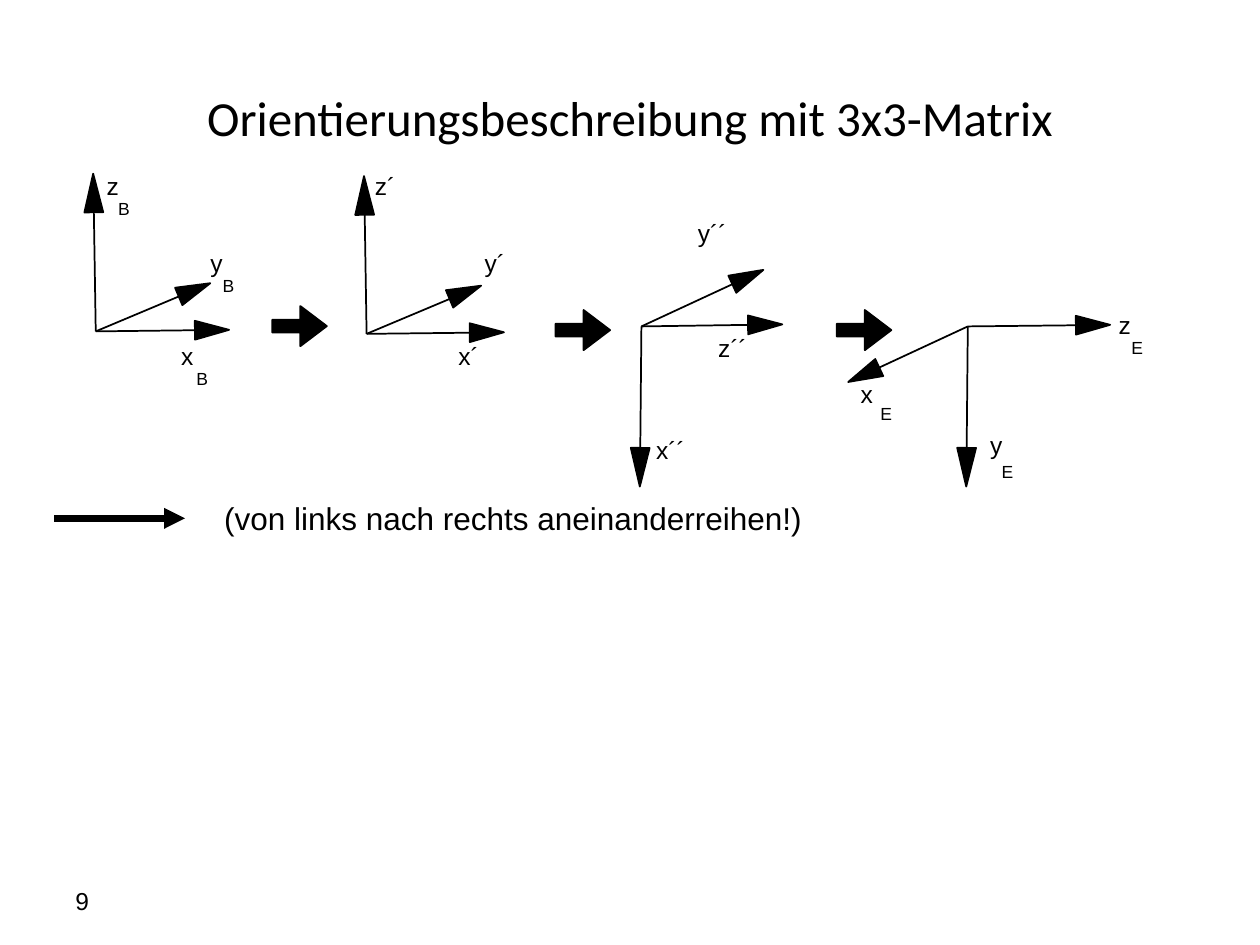
from math import hypot

from lxml import etree
from pptx import Presentation
from pptx.dml.color import RGBColor
from pptx.enum.shapes import MSO_CONNECTOR, MSO_SHAPE
from pptx.enum.text import MSO_ANCHOR, PP_ALIGN
from pptx.oxml.ns import qn
from pptx.util import Cm, Pt

BLACK = RGBColor(0, 0, 0)
LINE = MSO_CONNECTOR.STRAIGHT
ARROW = MSO_SHAPE.RIGHT_ARROW
MIDDLE = MSO_ANCHOR.MIDDLE
CENTER = PP_ALIGN.CENTER
HEAD_WIDTH = 0.38


def add_text(slide, box, text, size, wrap=False):
    shape = slide.shapes.add_textbox(*map(Cm, box))
    frame = shape.text_frame
    frame.word_wrap = wrap
    frame.text = text
    font = frame.paragraphs[0].runs[0].font
    font.name, font.size = "Arial", Pt(size)
    font.color.rgb = BLACK
    return frame


def add_line(slide, start, end, width):
    line = slide.shapes.add_connector(LINE, *map(Cm, (*start, *end)))
    line.line.color.rgb = BLACK
    line.line.width = Pt(width)
    etree.SubElement(line._element.spPr, qn("a:effectLst"))
    return line


def paint(shape):
    shape.shadow.inherit = False
    shape.fill.solid()
    shape.fill.fore_color.rgb = BLACK
    shape.line.color.rgb = BLACK
    shape.line.width = Pt(1)


def add_axis(slide, start, reach):
    """Draw a shaft from start and a long head whose tip lies at reach."""
    x, y = start
    dx, dy = reach
    size = hypot(dx, dy)
    ux, uy = dx / size, dy / size
    length = 0.78 if abs(dy) > abs(dx) else 0.69
    tip = (x + dx, y + dy)
    base = (tip[0] - length * ux, tip[1] - length * uy)
    add_line(slide, start, base, 1)
    half = HEAD_WIDTH / 2
    sides = [(base[0] - s * uy, base[1] + s * ux) for s in (half, -half)]
    path = slide.shapes.build_freeform(Cm(tip[0]), Cm(tip[1]), scale=1.0)
    path.add_line_segments([(Cm(a), Cm(b)) for a, b in sides], close=True)
    paint(path.convert_to_shape())


def add_frame(slide, origin, axes):
    """Each axis has its reach, label, label place, and index with its place."""
    x, y = origin
    for reach, name, (left, top), *index in axes:
        add_axis(slide, origin, reach)
        width = 0.59 + 0.17 * len(name)
        add_text(slide, (x + left, y + top, width, 0.84), name, 14)
        for sub, (right, down) in index:
            add_text(slide, (x + right, y + down, 0.75, 0.69), sub, 10)


def add_step(slide, box):
    arrow = slide.shapes.add_shape(ARROW, *map(Cm, box))
    arrow.adjustments[0] = 0.32
    arrow.adjustments[1] = 0.66
    paint(arrow)


def add_note(slide, box):
    left, top, width, height = box
    middle = top + height / 2
    line = add_line(slide, (left, middle), (left + 2.64, middle), 4)
    etree.SubElement(line.line._get_or_add_ln(), qn("a:tailEnd"), type="triangle")
    add_text(slide, (left + 3.18, top, width - 3.18, height),
             "(von links nach rechts aneinanderreihen!)", 18, wrap=True)


def add_title(slide, box):
    title = slide.shapes.title
    title.left, title.top, title.width, title.height = map(Cm, box)
    frame = title.text_frame
    frame.text = "Orientierungsbeschreibung mit 3x3-Matrix"
    frame.vertical_anchor = MIDDLE
    part = frame.paragraphs[0]
    part.alignment = CENTER
    font = part.runs[0].font
    font.name, font.size = "Calibri", Pt(28)
    font.color.rgb = BLACK


UP, DOWN, BACK = (-0.05, -3.18), (-0.03, 3.23), (2.31, -0.97)

FRAMES = [
    ((1.93, 6.68), [
        (UP, "z", (-0.03, -3.35), ("B", (0.2, -2.82))),
        ((2.69, -0.03), "x", (1.47, 0.08), ("B", (1.78, 0.61))),
        (BACK, "y", (2.06, -1.8), ("B", (2.31, -1.27))),
    ]),
    ((7.39, 6.73), [
        (UP, "z´", (-0.08, -3.4)),
        ((2.77, -0.03), "x´", (1.6, 0.03)),
        (BACK, "y´", (2.13, -1.85)),
    ]),
    ((12.93, 6.58), [
        (DOWN, "x´´", (0.05, 2.06)),
        ((2.84, -0.04), "z´´", (1.3, 0)),
        ((2.46, -1.14), "y´´", (0.89, -2.31)),
    ]),
    ((19.51, 6.58), [
        (DOWN, "y", (0.2, 1.96), ("E", (0.43, 2.59))),
        ((2.87, -0.03), "z", (2.79, -0.46), ("E", (3.05, 0.08))),
        ((-2.41, 1.12), "x", (-2.41, 0.94), ("E", (-2.01, 1.42))),
    ]),
]
STEPS = [(5.49, 6.17), (11.2, 6.25), (16.87, 6.25)]


def main():
    deck = Presentation()
    deck.slide_width, deck.slide_height = Cm(25.4), Cm(19.05)
    slide = deck.slides.add_slide(deck.slide_layouts[5])

    add_title(slide, (1.27, 0.76, 22.86, 3.18))

    # Coordinate frames and the steps between them
    for origin, axes in FRAMES:
        add_frame(slide, origin, axes)
    for left, top in STEPS:
        add_step(slide, (left, top, 1.1, 0.81))

    # Rule and page number
    add_note(slide, (1.09, 9.94, 15.83, 1.02))
    page = add_text(slide, (1.27, 17.65, 5.92, 1.02), "9", 14, wrap=True)
    page.vertical_anchor = MIDDLE

    deck.save("out.pptx")


if __name__ == "__main__":
    main()
